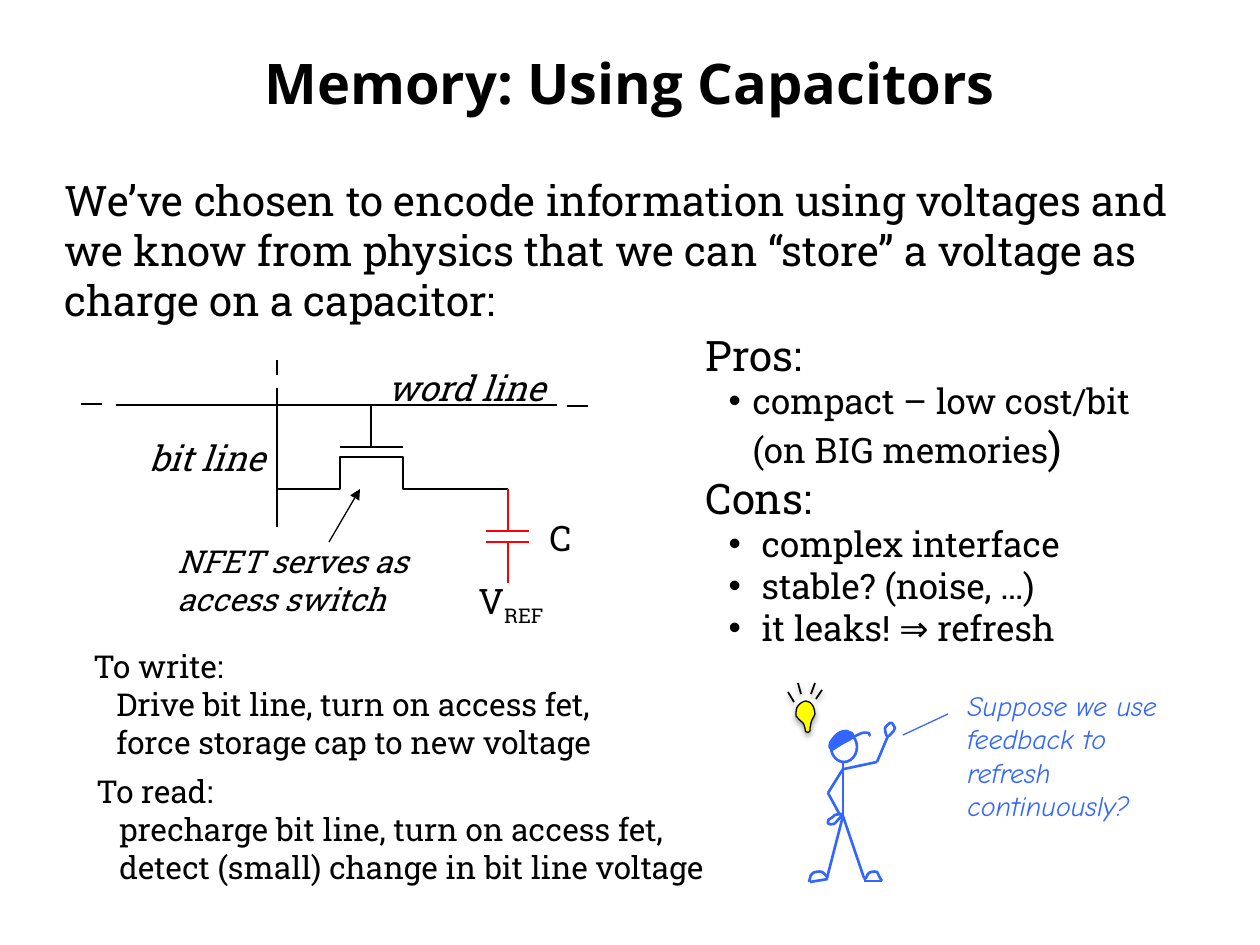
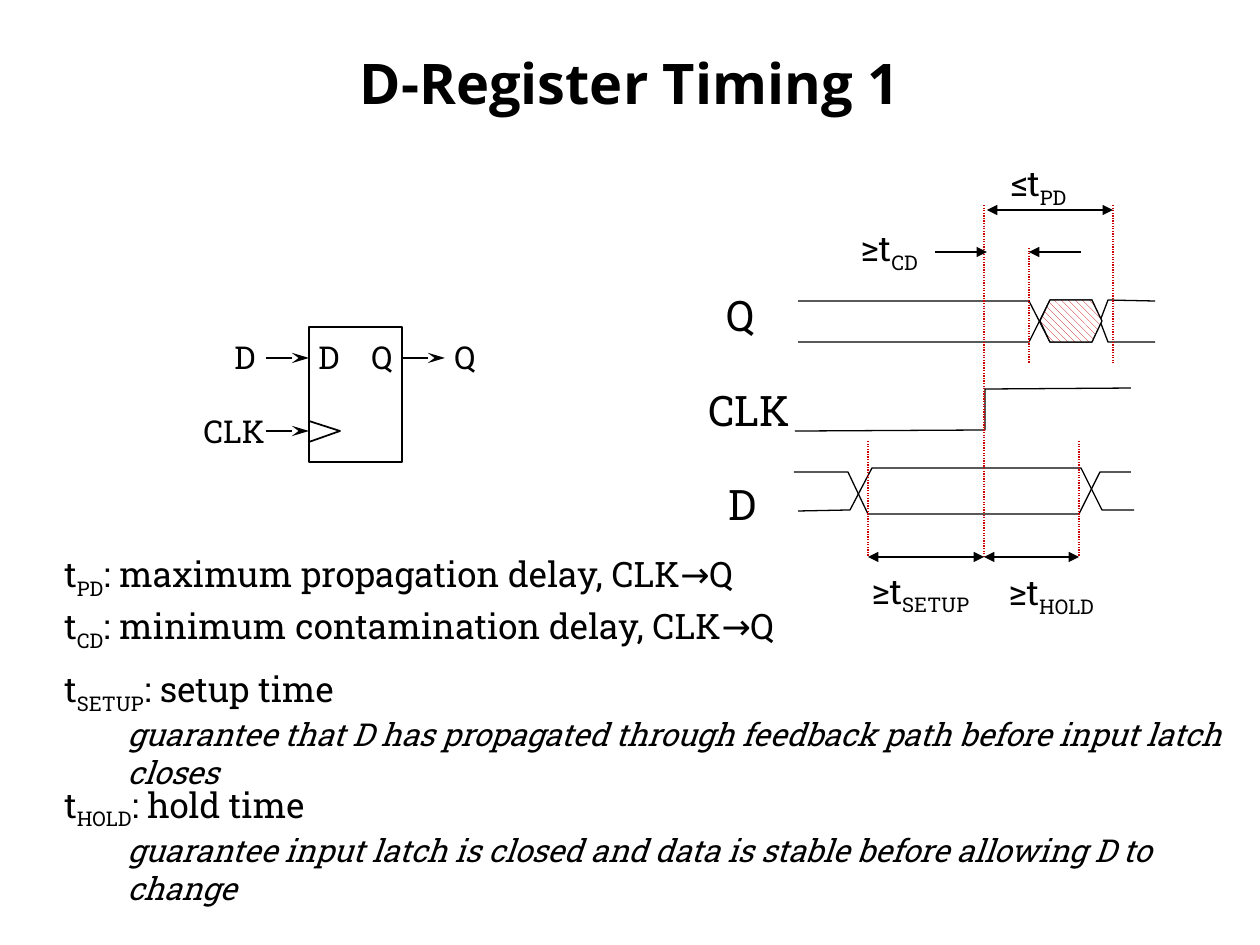
from lxml.etree import SubElement
from pptx import Presentation
from pptx.dml.color import RGBColor
from pptx.enum.dml import MSO_LINE, MSO_PATTERN
from pptx.enum.shapes import MSO_CONNECTOR, MSO_SHAPE
from pptx.enum.text import MSO_ANCHOR, MSO_AUTO_SIZE, PP_ALIGN
from pptx.oxml.ns import qn
from pptx.util import Emu, Pt

PX = 914400 / 126
BLACK, RED, GUIDE, BLUE, YELLOW, WHITE = (
    "000000", "FF0000", "CC0000", "3366FF", "FFFF00", "FFFFFF")
BODY, HEADING, HAND = "Roboto Slab", "Open Sans", "Comic Neue"


def px(length):
    return Emu(round(length * PX))


def rgb(value):
    return RGBColor.from_string(value)


def style_run(run, size, font=BODY, color=BLACK, bold=False, italic=False):
    run.font.name = font
    run.font.size = Pt(size)
    run.font.bold = bold
    run.font.italic = italic
    run.font.color.rgb = rgb(color)


def write(paragraph, text, size, indent=0, hang=0, bullet=None, **style):
    paragraph.space_before = Pt(0)
    properties = paragraph._p.get_or_add_pPr()
    properties.set("marL", str(px(indent)))
    properties.set("indent", str(px(-hang)))
    if bullet:
        SubElement(properties, qn("a:buChar")).set("char", bullet)
    else:
        SubElement(properties, qn("a:buNone"))
    for row, line in enumerate(text.split("\n")):
        if row:
            paragraph.add_line_break()
        for position, part in enumerate(line.split("|")):
            run = paragraph.add_run()
            run.text = part
            style_run(run, size, **style)
            if position % 2:
                run._r.get_or_add_rPr().set("baseline", "-25000")
    return paragraph


def add_paragraph(frame):
    first = frame.paragraphs[0]
    return frame.add_paragraph() if first.runs else first


def place(shape, left, top, width, height):
    shape.left, shape.top = px(left), px(top)
    shape.width, shape.height = px(width), px(height)
    shape.text_frame.word_wrap = True
    shape.text_frame.auto_size = MSO_AUTO_SIZE.NONE
    return shape.text_frame


def add_group(slide):
    return slide.shapes.add_group_shape().shapes


def add_text(shapes, box, text, size, **style):
    frame = place(shapes.add_textbox(0, 0, 0, 0), *box)
    write(frame.paragraphs[0], text, size, **style)
    return frame


def add_title(slide, text):
    frame = place(slide.shapes.title, 63, 38, 1134, 88)
    frame.vertical_anchor = MSO_ANCHOR.MIDDLE
    frame.text = text
    frame.paragraphs[0].alignment = PP_ALIGN.CENTER
    style_run(frame.paragraphs[0].runs[0], 32, HEADING, bold=True)


def add_line(shapes, x1, y1, x2, y2, color=BLACK, width=1.5,
             head=None, tail=None, dash=None):
    line = shapes.add_connector(
        MSO_CONNECTOR.STRAIGHT, px(x1), px(y1), px(x2), px(y2))
    line.line.color.rgb = rgb(color)
    line.line.width = Pt(width)
    if dash:
        line.line.dash_style = dash
    outline = line.line._get_or_add_ln()
    for tag, arrow in (("a:headEnd", head), ("a:tailEnd", tail)):
        if arrow:
            end = SubElement(outline, qn(tag), type=arrow)
            if arrow == "stealth":
                end.set("len", "lg")
    SubElement(line._element.spPr, qn("a:effectLst"))
    return line


def paint(shape, color, width, fill):
    shape.shadow.inherit = False
    shape.line.color.rgb = rgb(color)
    shape.line.width = Pt(width)
    if fill:
        shape.fill.solid()
        shape.fill.fore_color.rgb = rgb(fill)
    else:
        shape.fill.background()
    return shape


def add_outline(shapes, points, color=BLACK, width=0.75, fill=None, close=False):
    corners = [(px(x), px(y)) for x, y in points]
    builder = shapes.build_freeform(*corners[0])
    builder.add_line_segments(corners[1:], close=close)
    return paint(builder.convert_to_shape(), color, width, fill)


def add_curve(shapes, points, color=BLUE, width=1.5, fill=None, close=False):
    shape = add_outline(shapes, points, color, width, fill, close)
    segments = list(shape._element.iter(qn("a:lnTo")))
    for start in range(0, len(segments), 3):
        trio = segments[start:start + 3]
        bend = trio[0].makeelement(qn("a:cubicBezTo"))
        trio[0].addprevious(bend)
        for segment in trio:
            bend.append(segment[0])
            segment.getparent().remove(segment)
    return shape


def add_preset(shapes, preset, box, color, width, fill=None):
    return paint(shapes.add_shape(preset, *map(px, box)), color, width, fill)


def cast_shadow(shape):
    effects = shape._element.spPr.find(qn("a:effectLst"))
    shadow = SubElement(effects, qn("a:outerShdw"), blurRad=str(Pt(3.1)),
                        dist=str(Pt(1.8)), dir="5400000", rotWithShape="0")
    tint = SubElement(shadow, qn("a:srgbClr"), val=BLACK)
    SubElement(tint, qn("a:alpha"), val="35000")


def draw_memory_cell(slide):
    callout = add_group(slide)
    add_text(callout, (165, 536, 266, 89), "NFET serves as access switch", 18, italic=True)
    add_line(callout, 329, 542, 360, 489, width=0.75, tail="triangle")

    transistor = add_group(slide)
    add_outline(transistor, [(277, 489), (340, 489), (340, 457), (403, 457),
                             (403, 489), (508, 489)], width=1.5)
    for ends in ((340, 447, 403, 447), (371, 447, 371, 405)):
        add_line(transistor, *ends)
    for ends in ((486, 531, 529, 531), (486, 542, 529, 542),
                 (508, 542, 508, 583), (508, 489, 508, 531)):
        add_line(transistor, *ends, color=RED)
    add_text(transistor, (466, 573, 100, 55), "V|REF", 20)

    word_line = add_group(slide)
    add_text(word_line, (375, 360, 193, 55), "word line", 20, italic=True)
    for ends in ((116, 405, 557, 405), (81, 404, 102, 404), (567, 406, 588, 406)):
        add_line(word_line, *ends)

    bit_line = add_group(slide)
    label = add_text(bit_line, (74, 430, 203, 55), "bit line", 20, italic=True)
    label.paragraphs[0].alignment = PP_ALIGN.RIGHT
    for ends in ((277, 388, 277, 527), (277, 360, 277, 375)):
        add_line(bit_line, *ends)
    add_text(slide.shapes, (537, 510, 52, 55), "C", 20)


def draw_thinker(slide):
    thinker = add_group(slide)
    add_text(thinker, (955, 682, 241, 149),
             "Suppose we use feedback to refresh continuously?", 16,
             font=HAND, color=BLUE, italic=True)
    add_line(thinker, 903, 735, 948, 714, BLUE, 0.75)
    torso_and_legs = [(843, 762, 843, 816), (843, 816, 864, 878), (843, 816, 827, 878)]
    soles = [(864, 881, 882, 881), (828, 879, 810, 882)]
    arms = [(844, 769, 877, 762), (877, 762, 888, 736),
            (843, 769, 828, 793), (828, 793, 840, 815)]
    for ends in torso_and_legs + soles + arms:
        add_line(thinker, *ends, color=BLUE)
    right_foot = [(882, 881), (879, 877), (878, 873), (877, 872), (874, 871),
                  (869, 872), (868, 874), (867, 876), (866, 879), (864, 880)]
    left_foot = [(809, 882), (811, 876), (810, 874), (813, 873), (815, 872),
                 (819, 871), (822, 872), (824, 873), (827, 877), (828, 878)]
    brim = [(832, 750), (838, 746), (844, 742), (849, 740), (854, 736), (858, 735),
            (862, 733), (866, 732), (868, 733), (869, 733), (871, 735), (869, 736),
            (869, 736)]
    raised_hand = [(887, 736), (886, 736), (885, 730), (885, 728), (886, 726),
                   (888, 725), (890, 723), (891, 723), (891, 722), (892, 723),
                   (893, 725), (895, 727), (895, 728), (895, 730), (893, 732),
                   (892, 733), (891, 735), (888, 737), (887, 736)]
    hip_hand = [(842, 814), (842, 814), (838, 814), (835, 815), (834, 816),
                (832, 818), (830, 819), (829, 819), (828, 820), (828, 822),
                (828, 823), (828, 824), (829, 824), (829, 825), (832, 824),
                (834, 824), (835, 823), (837, 822), (838, 820), (839, 819),
                (843, 815), (842, 814)]
    cap = [(830, 748), (829, 747), (830, 742), (832, 740), (834, 737), (837, 735),
           (839, 733), (842, 731), (845, 731), (847, 731), (849, 732), (851, 733),
           (852, 733), (852, 735), (854, 735), (853, 736), (852, 737), (847, 740),
           (843, 742), (839, 745), (833, 748), (830, 748)]
    bulb = [(810, 731), (810, 730), (810, 726), (811, 723), (811, 721), (814, 717),
            (815, 714), (815, 711), (814, 708), (813, 706), (811, 703), (809, 701),
            (806, 701), (804, 701), (800, 703), (798, 706), (796, 708), (796, 712),
            (796, 716), (798, 718), (800, 721), (803, 723), (805, 725), (805, 731),
            (806, 732), (808, 733), (809, 732), (810, 731)]
    for part in (right_foot, left_foot, brim):
        add_curve(thinker, part)
    for part in (raised_hand, hip_hand):
        add_curve(thinker, part, close=True)
    add_preset(thinker, MSO_SHAPE.OVAL, (831, 732, 26, 30), BLUE, 1.5)
    add_curve(thinker, cap, fill=BLUE, close=True)
    cast_shadow(add_curve(thinker, bulb, BLACK, 0.75, YELLOW, close=True))
    rays = [(822, 690, 816, 699), (811, 694, 815, 683),
            (801, 694, 798, 683), (794, 702, 788, 692)]
    for ends in rays:
        cast_shadow(add_line(thinker, *ends, width=1))


def fill_pros_and_cons(slide):
    frame = place(slide.placeholders[1], 693, 323, 546, 335)
    write(add_paragraph(frame), "Pros:", 24)
    benefit = write(add_paragraph(frame), "compact – low cost/bit\n(on BIG memories",
                    20, 47, 24, "•")
    closing = benefit.add_run()
    closing.text = ")"
    style_run(closing, 24)
    write(add_paragraph(frame), "Cons:", 24)
    for drawback in ("complex interface", "stable? (noise, …)", "it leaks! ⇒ refresh"):
        write(add_paragraph(frame), drawback, 20, 56, 33, "•")


def build_capacitor_slide(deck):
    slide = deck.slides.add_slide(deck.slide_layouts[1])
    add_title(slide, "Memory: Using Capacitors")
    add_text(slide.shapes, (52, 168, 1166, 165),
             "We’ve chosen to encode information using voltages and we know from "
             "physics that we can “store” a voltage as charge on a capacitor:", 24)
    fill_pros_and_cons(slide)
    draw_memory_cell(slide)
    procedures = [
        ((81, 641, 566, 127), "To write:",
         "Drive bit line, turn on access fet,\nforce storage cap to new voltage"),
        ((84, 766, 660, 127), "To read:",
         "precharge bit line, turn on access fet,\n"
         "detect (small) change in bit line voltage")]
    for box, heading, steps in procedures:
        frame = add_text(slide.shapes, box, heading, 18)
        write(add_paragraph(frame), steps, 18, 23)
    draw_thinker(slide)


def add_pin(shapes, name, left, top, width):
    label = add_text(shapes, (left, top, width, 48), name, 18)
    label.paragraphs[0].line_spacing = 0.9


def draw_register(slide):
    register = add_group(slide)
    add_preset(register, MSO_SHAPE.RECTANGLE, (309, 327, 93, 135), BLACK, 1, WHITE)
    add_pin(register, "D", 306, 336, 50)
    add_pin(register, "Q", 359, 336, 50)
    for start, end, y in ((403, 445, 358), (266, 309, 358), (266, 309, 431)):
        add_line(register, start, y, end, y, width=1, tail="stealth")
    add_outline(register, [(309, 421), (340, 431), (309, 442)], width=1)
    for pin in (("D", 222, 336, 50), ("CLK", 191, 410, 93), ("Q", 442, 336, 50)):
        add_pin(slide.shapes, *pin)


def draw_waveforms(shapes):
    for name, left, top, width in (("CLK", 696, 378, 118), ("D", 716, 472, 59),
                                   ("Q", 714, 283, 59)):
        add_text(shapes, (left, top, width, 64), name, 24)
    waves = [
        [(795, 431), (985, 430), (985, 389), (1131, 388)],
        [(794, 472), (848, 472), (868, 514), (1079, 514), (1100, 472), (1131, 472)],
        [(798, 511), (850, 510), (872, 468), (1081, 468), (1102, 510), (1134, 510)],
        [(798, 342), (1029, 342), (1050, 300), (1092, 300), (1108, 342), (1155, 342)],
        [(798, 301), (1029, 301), (1050, 342), (1092, 342), (1108, 300), (1155, 301)]]
    for wave in waves:
        add_outline(shapes, wave)
    unstable = add_outline(shapes, [(1040, 321), (1050, 300), (1092, 300), (1102, 321),
                                    (1092, 342), (1050, 342)], close=True)
    unstable.fill.patterned()
    unstable.fill.pattern = MSO_PATTERN.WIDE_DOWNWARD_DIAGONAL
    unstable.fill.fore_color.rgb = rgb(GUIDE)
    unstable.fill.back_color.rgb = rgb(WHITE)


def add_delay(slide, guides, spans, y, head, symbol, label_box, meaning, box,
              guarantee=None):
    delay = add_group(slide)
    for x, top, bottom in guides:
        add_line(delay, x, top, x, bottom, GUIDE, 0.75, dash=MSO_LINE.ROUND_DOT)
    for start, end in spans:
        add_line(delay, start, y, end, y, width=0.75, head=head, tail="triangle")
    add_text(delay, label_box, symbol, 20)
    frame = add_text(delay, box, f"{symbol[1:]}|: {meaning}", 20)
    if guarantee:
        write(add_paragraph(frame), guarantee, 18, 63, italic=True)


def build_timing_slide(deck):
    slide = deck.slides.add_slide(deck.slide_layouts[5])
    add_title(slide, "D-Register Timing 1")
    draw_waveforms(slide.shapes)
    draw_register(slide)
    add_delay(slide, [(984, 205, 557), (1113, 205, 363)], [(987, 1113)], 210, "triangle",
              "≤t|PD", (997, 155, 92, 55),
              "maximum propagation delay, CLK→Q", (52, 546, 766, 55))
    add_delay(slide, [(1029, 248, 363)], [(935, 987), (1081, 1029)], 252, None,
              "≥t|CD", (848, 220, 95, 55),
              "minimum contamination delay, CLK→Q", (52, 598, 851, 55))
    add_delay(slide, [(868, 441, 557)], [(868, 984)], 557, "triangle",
              "≥t|SETUP", (859, 563, 139, 55), "setup time", (52, 661, 1187, 131),
              "guarantee that D has propagated through feedback path "
              "before input latch closes")
    add_delay(slide, [(1079, 441, 557)], [(984, 1079)], 557, "triangle",
              "≥t|HOLD", (996, 564, 129, 55), "hold time", (52, 777, 1124, 131),
              "guarantee input latch is closed and data is stable "
              "before allowing D to change")


def main():
    deck = Presentation()
    deck.slide_width, deck.slide_height = px(1260), px(945)
    build_capacitor_slide(deck)
    build_timing_slide(deck)
    deck.save("out.pptx")


main()
